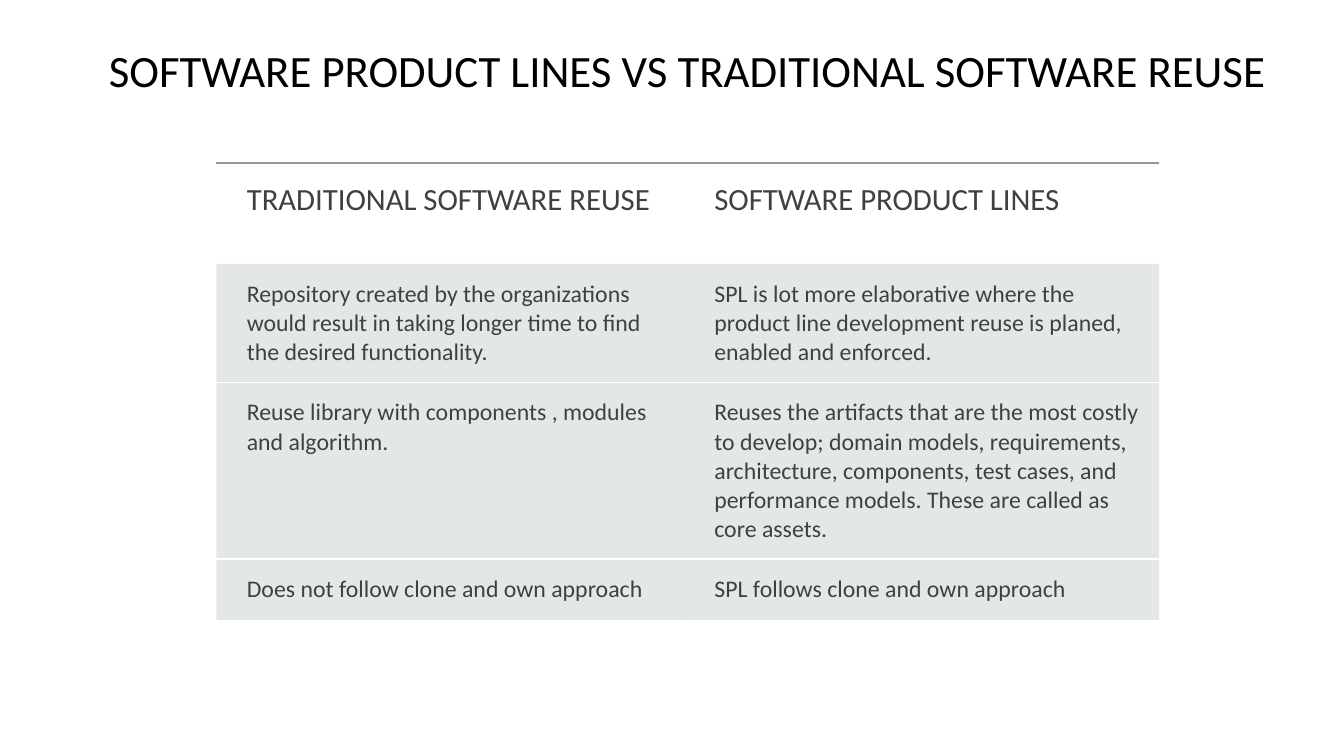
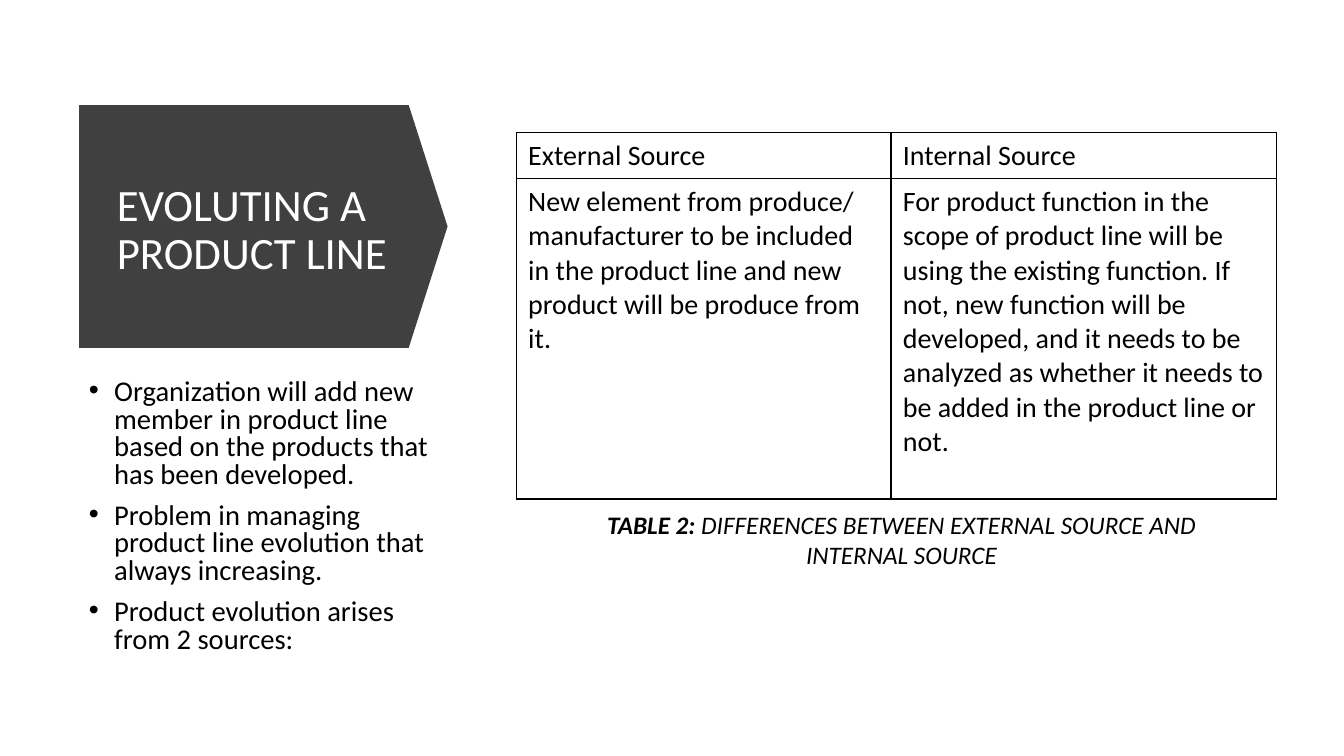
from lxml import etree
from pptx import Presentation
from pptx.dml.color import RGBColor
from pptx.enum.shapes import MSO_SHAPE
from pptx.enum.text import MSO_ANCHOR, MSO_AUTO_SIZE, PP_ALIGN
from pptx.oxml import parse_xml
from pptx.oxml.ns import nsdecls, qn
from pptx.util import Pt

BLACK = RGBColor(0x00, 0x00, 0x00)
WHITE = RGBColor(0xFF, 0xFF, 0xFF)
CHARCOAL = RGBColor(0x40, 0x40, 0x40)
RULE_GRAY = RGBColor(0x8F, 0x9A, 0x9D)
CELL_GRAY = RGBColor(0xB4, 0xBC, 0xBE)
FONT = "Calibri"
TITLE_SIZE = 32
LEFT, CENTER = PP_ALIGN.LEFT, PP_ALIGN.CENTER
MIDDLE = MSO_ANCHOR.MIDDLE
NO_AUTOFIT = MSO_AUTO_SIZE.NONE
PENTAGON = MSO_SHAPE.PENTAGON


def style_text(text_frame, size, color, alignment=LEFT, line_spacing=None):
    for paragraph in text_frame.paragraphs:
        paragraph.alignment = alignment
        paragraph.line_spacing = line_spacing
        for run in paragraph.runs:
            run.font.name = FONT
            run.font.size = Pt(size)
            run.font.color.rgb = color


def add_plain_table(slide, left, top, widths, row_specs, color):
    table = slide.shapes.add_table(
        len(row_specs), len(widths), Pt(left), Pt(top),
        Pt(sum(widths)), Pt(sum(spec["height"] for spec in row_specs))).table
    table.first_row = False
    table.horz_banding = False
    for column, width in zip(table.columns, widths):
        column.width = Pt(width)
    for row, spec in zip(table.rows, row_specs):
        row.height = Pt(spec["height"])
        for cell, text in zip(row.cells, spec["texts"]):
            cell.text_frame.text = text
            style_text(cell.text_frame, spec["size"], color)
            (cell.margin_left, cell.margin_top,
             cell.margin_right, cell.margin_bottom) = map(Pt, spec["margins"])
            properties = cell._tc.get_or_add_tcPr()
            for side in "LRTB":
                line_color, width, alpha = spec["borders"].get(side, (None, 0, 0))
                paint = "<a:noFill/>" if line_color is None else (
                    f'<a:solidFill><a:srgbClr val="{line_color}">'
                    f'<a:alpha val="{alpha * 1000}"/></a:srgbClr></a:solidFill>')
                properties.append(parse_xml(
                    f'<a:ln{side} {nsdecls("a")} w="{Pt(width)}">{paint}</a:ln{side}>'))
            if spec.get("shaded"):
                cell.fill.solid()
                cell.fill.fore_color.rgb = CELL_GRAY
                shade = properties.find(f'{qn("a:solidFill")}/{qn("a:srgbClr")}')
                etree.SubElement(shade, qn("a:alpha"), val="35000")
            else:
                cell.fill.background()


presentation = Presentation()
presentation.slide_width = Pt(960)
presentation.slide_height = Pt(540)
title_only = presentation.slide_layouts[5]

title_specs = [
    ("SOFTWARE PRODUCT LINES VS TRADITIONAL SOFTWARE REUSE",
     (22.5, 0, 937.5, 104.5), BLACK, CENTER, "ellipse"),
    ("EVOLUTING A PRODUCT LINE", (76.2, 94.8, 210, 140.5), WHITE, LEFT, "rect"),
]
for text, bounds, color, alignment, outline in title_specs:
    title = presentation.slides.add_slide(title_only).shapes.title
    title.left, title.top, title.width, title.height = map(Pt, bounds)
    title.element.spPr.append(parse_xml(
        f'<a:prstGeom {nsdecls("a")} prst="{outline}"><a:avLst/></a:prstGeom>'))
    title.text_frame.text = text
    title.text_frame.auto_size = NO_AUTOFIT
    title.text_frame.word_wrap = outline == "rect"
    title.text_frame.vertical_anchor = MIDDLE
    style_text(title.text_frame, TITLE_SIZE, color, alignment, 0.9)
comparison_slide, evolution_slide = presentation.slides

white_line = (WHITE, 1.5, 100)
comparison_rows = [
    {"height": 72, "size": 22, "margins": (21.8, 13, 13, 13),
     "borders": {"T": (RULE_GRAY, 1.5, 60)},
     "texts": ("TRADITIONAL SOFTWARE REUSE", "SOFTWARE PRODUCT LINES")},
]
body_rows = [
    (84.3, {"B": white_line},
     ("Repository created by the organizations would result in taking longer "
      "time to find the desired functionality.",
      "SPL is lot more elaborative where the product line development reuse is "
      "planed, enabled and enforced.")),
    (126.3, {"T": white_line, "B": white_line},
     ("Reuse library with components , modules and algorithm.",
      "Reuses the artifacts that are the most costly to develop; domain models, "
      "requirements, architecture, components, test cases, and performance "
      "models. These are called as core assets.")),
    (43.3, {"T": white_line},
     ("Does not follow clone and own approach",
      "SPL follows clone and own approach")),
]
for height, borders, texts in body_rows:
    comparison_rows.append(
        {"height": height, "size": 17, "margins": (21.8, 11.2, 11.2, 11.2),
         "borders": borders, "texts": texts, "shaded": True})
add_plain_table(comparison_slide, 154.5, 116.5, (334, 339.5), comparison_rows, CHARCOAL)

arrow = evolution_slide.shapes.add_shape(PENTAGON, Pt(56.5), Pt(75), Pt(263.2), Pt(173.5))
arrow.adjustments[0] = 0.16
arrow.shadow.inherit = False
arrow.fill.solid()
arrow.fill.fore_color.rgb = CHARCOAL
arrow.line.fill.background()
evolution_slide.shapes.title.element.addprevious(arrow.element)

bullets = evolution_slide.shapes.add_textbox(Pt(56.5), Pt(267.8), Pt(271.5), Pt(206.5)).text_frame
bullets.word_wrap = True
bullets.text = "\n".join([
    "Organization will add new member in product line based on the products "
    "that has been developed.",
    "Problem in managing product line evolution that always increasing.",
    "Product evolution arises from 2 sources:",
])
style_text(bullets, 20.4, BLACK, line_spacing=0.8)
for paragraph in bullets.paragraphs:
    paragraph.space_before = Pt(10)
    properties = paragraph._p.get_or_add_pPr()
    properties.set("marL", str(Pt(18)))
    properties.set("indent", str(Pt(-18)))
    etree.SubElement(properties, qn("a:buFont"), typeface="Arial")
    etree.SubElement(properties, qn("a:buChar"), char="•")

black_line = (BLACK, 1, 100)
source_rows = [
    {"height": height, "size": 20, "margins": (8.6, 4.3, 8.6, 4.3),
     "borders": dict.fromkeys("LRTB", black_line), "texts": texts}
    for height, texts in [
        (33, ("External Source", "Internal Source")),
        (228.8, ("New element from produce/ manufacturer to be included in the "
                 "product line and new product will be produce from it.",
                 "For product function in the scope of product line will be using "
                 "the existing function. If not, new function will be developed, "
                 "and it needs to be analyzed as whether it needs to be added in "
                 "the product line or not.")),
    ]
]
add_plain_table(evolution_slide, 368.7, 94.7, (267.7, 275.2), source_rows, BLACK)

caption = evolution_slide.shapes.add_textbox(Pt(404), Pt(360.3), Pt(480), Pt(51)).text_frame
caption.word_wrap = True
caption_paragraph = caption.paragraphs[0]
for text, bold in [("TABLE 2:", True),
                   (" DIFFERENCES BETWEEN EXTERNAL SOURCE AND INTERNAL SOURCE", False)]:
    run = caption_paragraph.add_run()
    run.text = text
    run.font.bold = bold
    run.font.italic = True
style_text(caption, 18, BLACK, CENTER)

presentation.save("out.pptx")
